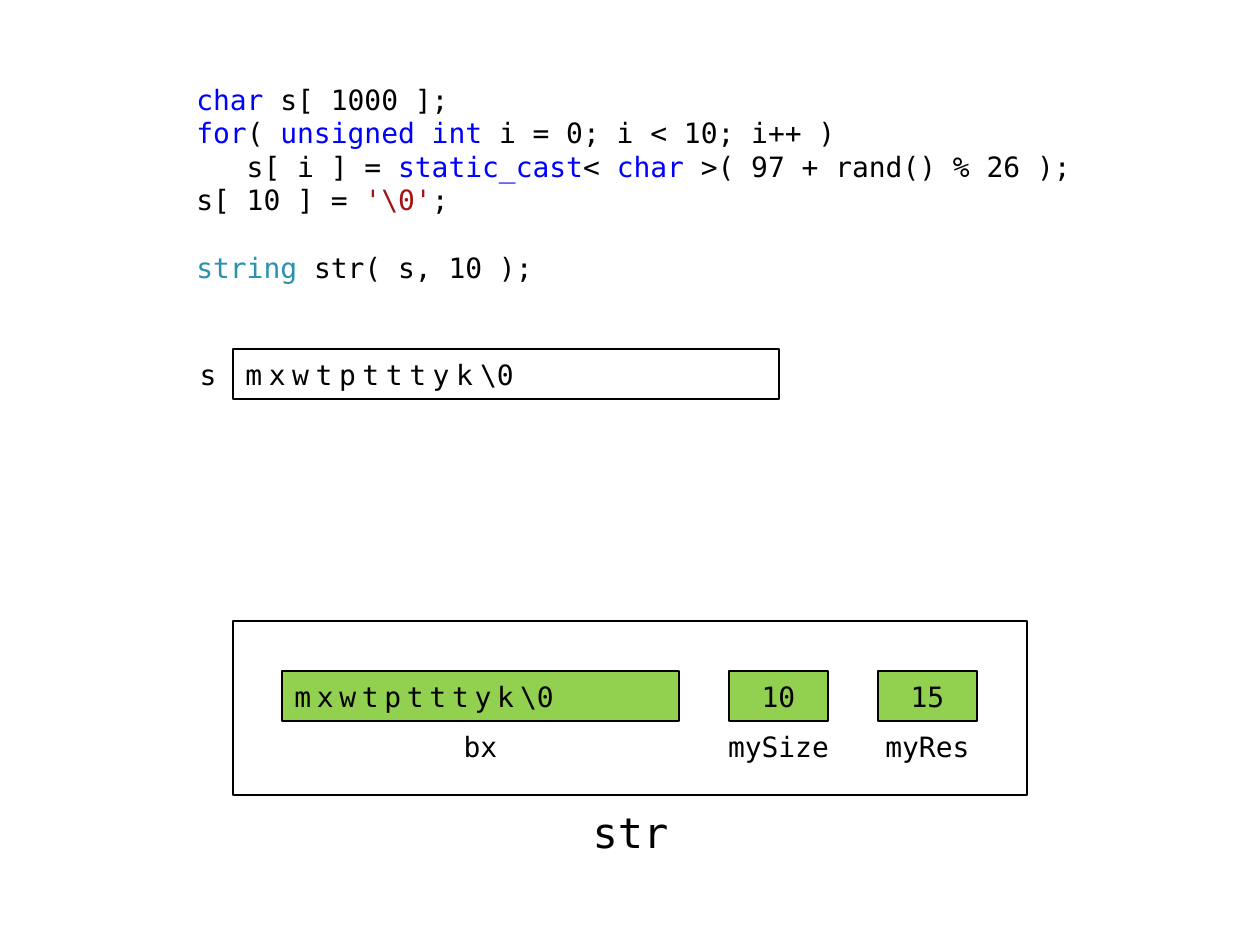
import pptx
import pptx.dml.color
import pptx.enum.shapes
import pptx.enum.text
import pptx.util

PX = pptx.util.Inches(1) / 126
SHAPES = pptx.enum.shapes.MSO_SHAPE
ALIGN = pptx.enum.text.PP_ALIGN
ANCHOR = pptx.enum.text.MSO_ANCHOR
BLACK, WHITE, GREEN = "000000", "FFFFFF", "92D050"
KEYWORD, LITERAL, TYPE = "0000FF", "A31515", "2B91AF"


def emu(px):
    return round(px * PX)


def color(value):
    return pptx.dml.color.RGBColor.from_string(value)


class SlideBuilder:
    font = "DejaVu Sans Mono"

    def __init__(self, slide):
        self.slide = slide

    def format(self, target, values):
        for name, value in values.items():
            setattr(target, name, value)

    def run(self, paragraph, text, ink=BLACK, size=16, spacing=None):
        run = paragraph.add_run()
        run.text = text
        self.format(run.font, {"name": self.font, "size": pptx.util.Pt(size)})
        run.font.color.rgb = color(ink)
        if spacing is not None:
            run._r.get_or_add_rPr().set("spc", str(round(spacing * 100)))

    def code(self, box, lines, pitch):
        """Coloured code; an empty line becomes space before the next one."""
        frame = self.slide.shapes.add_textbox(*map(emu, box)).text_frame
        frame.word_wrap = True
        paragraph, gap = frame.paragraphs[0], 0
        for number, line in enumerate(lines):
            if not line:
                gap += pitch
                continue
            if number:
                paragraph = frame.add_paragraph()
            self.format(paragraph, {"line_spacing": pptx.util.Pt(pitch),
                                    "space_before": pptx.util.Pt(gap)})
            gap = 0
            for text, ink in line:
                self.run(paragraph, text, ink)

    def box(self, box, fill, kind=SHAPES.RECTANGLE):
        shape = self.slide.shapes.add_shape(kind, *map(emu, box))
        shape.shadow.inherit = False
        shape.fill.solid()
        shape.fill.fore_color.rgb = color(fill)
        shape.line.color.rgb = color(BLACK)
        shape.line.width = pptx.util.Pt(1.5)
        return shape

    def paragraph(self, shape, align):
        self.format(shape.text_frame, {"word_wrap": True, "vertical_anchor": ANCHOR.MIDDLE})
        paragraph = shape.text_frame.paragraphs[0]
        paragraph.alignment = align
        return paragraph

    def label(self, box, text, size=16):
        shape = self.slide.shapes.add_textbox(*map(emu, box))
        self.run(self.paragraph(shape, ALIGN.CENTER), text, size=size)

    def value(self, box, text, fill):
        self.run(self.paragraph(self.box(box, fill), ALIGN.CENTER), text)

    def buffer(self, box, letters, fill, spacing):
        """Spaced characters closed by the null character."""
        paragraph = self.paragraph(self.box(box, fill), ALIGN.LEFT)
        for text, gap in ((letters, spacing), ("\\", -1.5), ("0", 0)):
            self.run(paragraph, text, spacing=gap)


CODE = [
    [("char ", KEYWORD), ("s[ 1000 ];", BLACK)],
    [("for", KEYWORD), ("( ", BLACK), ("unsigned int ", KEYWORD),
     ("i = 0; i < 10; i++ )", BLACK)],
    [("   s[ i ] = ", BLACK), ("static_cast", KEYWORD), ("< ", BLACK),
     ("char", KEYWORD), (" >( 97 + rand() % 26 );", BLACK)],
    [("s[ 10 ] = ", BLACK), ("'\\0'", LITERAL), (";", BLACK)],
    [],
    [("string ", TYPE), ("str( s, 10 );", BLACK)],
]
LETTERS = "mxwtptttyk"
UNIT = 50  # cell height and gap between cells
LEFT = 233  # left edge of both diagrams


def main():
    presentation = pptx.Presentation()
    presentation.slide_width = pptx.util.Inches(10)
    presentation.slide_height = pptx.util.Inches(7.5)
    slide = presentation.slides.add_slide(presentation.slide_layouts[6])
    builder = SlideBuilder(slide)

    # Code
    builder.code((184, 76, 917, 223), CODE, pitch=19.2)

    # Character array s
    builder.label((LEFT - UNIT, 349, UNIT, UNIT), "s")
    builder.buffer((LEFT, 349, 546, UNIT), LETTERS, WHITE, 3.8)

    # String object str
    builder.box((LEFT, 621, 794, 174), WHITE, SHAPES.FLOWCHART_PROCESS)
    builder.label((556, 795, 149, 74), "str", size=24)

    # Data members with their names below
    left, top, label_width = 282, 671, 149
    for name, value, width in (("bx", None, 397), ("mySize", "10", 99), ("myRes", "15", 99)):
        cell = (left, top, width, UNIT)
        if value is None:
            builder.buffer(cell, LETTERS, GREEN, 3.3)
        else:
            builder.value(cell, value, GREEN)
        label_left = left + (width - label_width) // 2
        builder.label((label_left, top + UNIT, label_width, UNIT), name)
        left += width + UNIT

    presentation.save("out.pptx")


if __name__ == "__main__":
    main()
